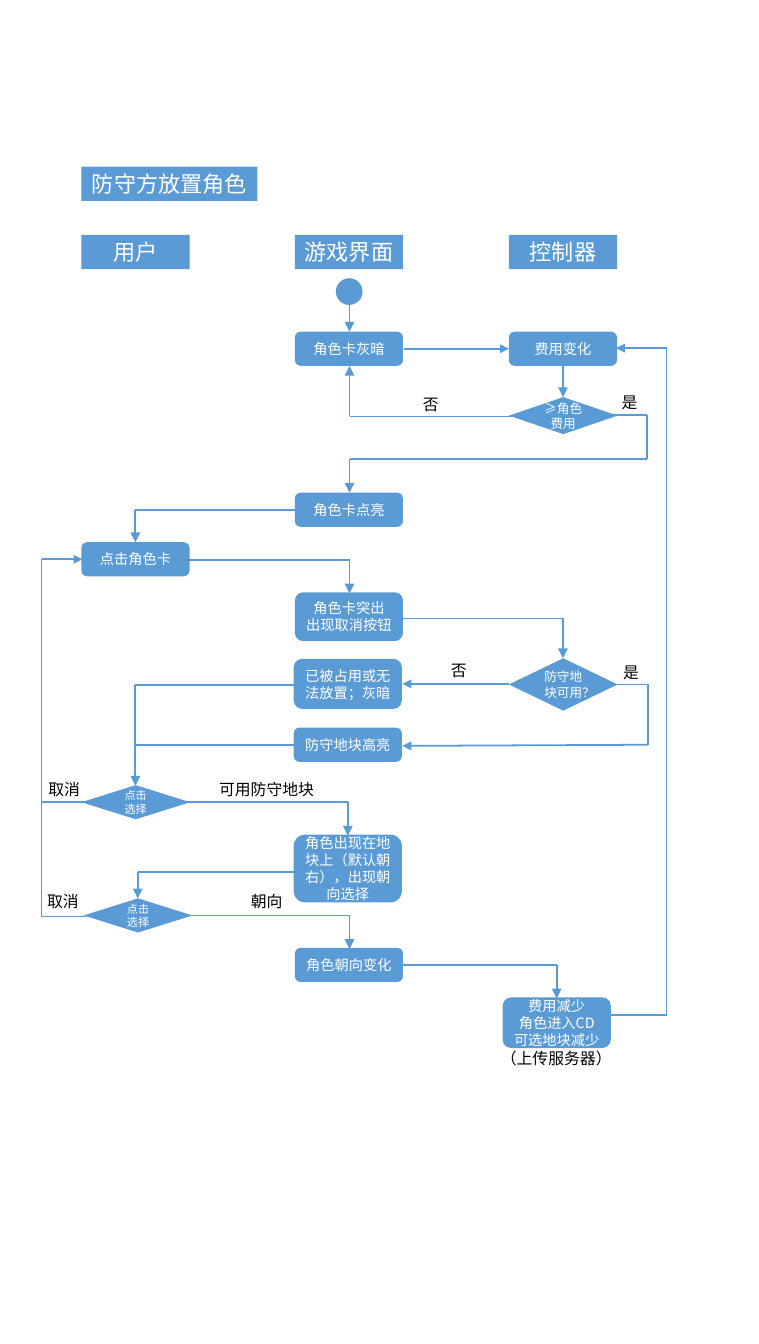
"""Build the swimlane flowchart for placing a character as the defender."""
import itertools

import pptx
import pptx.dml.color
import pptx.enum.shapes
import pptx.enum.text
import pptx.oxml
import pptx.oxml.ns
import pptx.util

Inches = pptx.util.Inches
Pt = pptx.util.Pt
SHAPE = pptx.enum.shapes.MSO_SHAPE
ALIGN = pptx.enum.text.PP_ALIGN
BLUE = pptx.dml.color.RGBColor(0x5B, 0x9B, 0xD5)
WHITE = pptx.dml.color.RGBColor(0xFF, 0xFF, 0xFF)
BLACK = pptx.dml.color.RGBColor(0x00, 0x00, 0x00)
FONT = "Noto Sans CJK SC"
DRAWING = pptx.oxml.ns.nsdecls("a")
USER, SCREEN, CONTROLLER = 1.43, 5.18, 8.94
SCREEN_LOWER = 5.16
WIDTH, HEIGHT = 1.9, 0.6


def write_text(shape, text, size, color, alignment):
    """Fill a shape with evenly formatted paragraphs."""
    shape.text_frame.text = text
    for paragraph in shape.text_frame.paragraphs:
        paragraph.alignment = alignment
        paragraph.font.size = Pt(size)
        paragraph.font.color.rgb = color
        paragraph.font.name = FONT
        east_asian = pptx.oxml.parse_xml(f'<a:ea {DRAWING} typeface="{FONT}"/>')
        paragraph.font._element.append(east_asian)


def add_node(preset, left, top, width, height, text="", size=18):
    """Add a blue shape with white centred text."""
    shape = slide.shapes.add_shape(
        preset, Inches(left), Inches(top), Inches(width), Inches(height))
    shape.shadow.inherit = False
    shape.fill.solid()
    shape.fill.fore_color.rgb = BLUE
    shape.line.fill.background()
    shape.text_frame.vertical_anchor = pptx.enum.text.MSO_ANCHOR.MIDDLE
    if text:
        write_text(shape, text, size, WHITE, ALIGN.CENTER)


presentation = pptx.Presentation()
presentation.slide_width = Inches(40 / 3)
presentation.slide_height = Inches(60 / 2.54)
slide = presentation.slides.add_slide(presentation.slide_layouts[5])

title = slide.shapes.title
title.left, title.top = Inches(USER), Inches(2.93)
title.width, title.height = Inches(3.09), Inches(HEIGHT)
title.fill.solid()
title.fill.fore_color.rgb = BLUE
title.text_frame.auto_size = pptx.enum.text.MSO_AUTO_SIZE.NONE
title.text_frame.vertical_anchor = pptx.enum.text.MSO_ANCHOR.MIDDLE
write_text(title, "防守方放置角色", 28, WHITE, ALIGN.CENTER)

lanes = [(USER, "用户"), (SCREEN, "游戏界面"), (CONTROLLER, "控制器")]
for left, text in lanes:
    add_node(SHAPE.RECTANGLE, left, 4.13, WIDTH, HEIGHT, text, 28)

add_node(SHAPE.OVAL, 5.9, 4.89, 0.47, 0.47)

steps = [
    (SCREEN, 5.83, HEIGHT, "角色卡灰暗"),
    (CONTROLLER, 5.83, HEIGHT, "费用变化"),
    (SCREEN, 8.66, HEIGHT, "角色卡点亮"),
    (USER, 9.53, HEIGHT, "点击角色卡"),
    (SCREEN, 10.41, 0.86, "角色卡突出\n出现取消按钮"),
    (SCREEN_LOWER, 11.58, 0.88, "已被占用或无法放置；灰暗"),
    (SCREEN_LOWER, 12.79, HEIGHT, "防守地块高亮"),
    (SCREEN_LOWER, 14.67, 1.19, "角色出现在地块上（默认朝右），出现朝向选择"),
    (SCREEN, 16.66, HEIGHT, "角色朝向变化"),
    (8.83, 17.53, 0.89, "费用减少\n角色进入CD\n可选地块减少"),
]
for left, top, height, text in steps:
    add_node(SHAPE.ROUNDED_RECTANGLE, left, top, WIDTH, height, text)

decisions = [
    (CONTROLLER, 6.98, 0.65, "≥角色费用", 16),
    (CONTROLLER, 11.57, 0.92, "防守地块可用？", 16),
    (USER, 13.8, HEIGHT, "点击\n选择", 14),
    (1.47, 15.79, HEIGHT, "点击\n选择", 14),
]
for left, top, height, text, size in decisions:
    add_node(SHAPE.FLOWCHART_DECISION, left, top, 1.91, height, text, size)

arrow_routes = [
    [(6.14, 5.36), (6.14, 5.83)],
    [(7.09, 6.13), (8.94, 6.13)],
    [(9.89, 6.43), (9.89, 6.98)],
    [(9, 7.32), (6.14, 7.32), (6.14, 6.43)],
    [(10.77, 7.3), (11.36, 7.3), (11.36, 8.07), (6.14, 8.07), (6.14, 8.66)],
    [(5.21, 8.96), (2.38, 8.96), (2.38, 9.53)],
    [(3.31, 9.84), (6.14, 9.84), (6.14, 10.43)],
    [(7.07, 10.87), (9.89, 10.87), (9.89, 11.57)],
    [(8.94, 12.02), (7.07, 12.02)],
    [(10.79, 12.03), (11.38, 12.03), (11.38, 13.09), (7.07, 13.11)],
    [(5.17, 12.04), (2.38, 12.04), (2.38, 13.81)],
    [(3.29, 14.1), (6.11, 14.1), (6.11, 14.69)],
    [(5.21, 15.32), (2.42, 15.32), (2.42, 15.79)],
    [(3.31, 16.09), (6.14, 16.09), (6.14, 16.68)],
    [(1.51, 16.11), (0.73, 16.11), (0.73, 9.83), (1.45, 9.83)],
    [(6.95, 16.96), (9.78, 16.96), (9.78, 17.55)],
    [(10.73, 17.84), (11.71, 17.84), (11.71, 6.12), (10.82, 6.12)],
]
joining_routes = [
    [(5.16, 13.09), (2.38, 13.09)],
    [(1.49, 14.1), (0.73, 14.1)],
]
for route in arrow_routes + joining_routes:
    for start, end in itertools.pairwise(route):
        connector = slide.shapes.add_connector(
            pptx.enum.shapes.MSO_CONNECTOR.STRAIGHT,
            *(Inches(value) for value in start + end))
        has_arrow = route in arrow_routes and end == route[-1]
        is_vertical = start[0] == end[0]
        connector.line.color.rgb = BLUE
        connector.line.width = Pt(2.5 if has_arrow and is_vertical else 2.25)
        if has_arrow:
            arrowhead = pptx.oxml.parse_xml(
                f'<a:tailEnd {DRAWING} type="triangle" w="lg" len="lg"/>')
            connector.line._get_or_add_ln().append(arrowhead)
        no_effects = pptx.oxml.parse_xml(f"<a:effectLst {DRAWING}/>")
        connector._element.spPr.append(no_effects)

labels = [
    (7.33, 6.88, 0.48, "否"),
    (10.82, 6.86, 0.48, "是"),
    (7.82, 11.57, 0.48, "否"),
    (10.85, 11.59, 0.48, "是"),
    (3.75, 13.66, 1.88, "可用防守地块"),
    (0.75, 13.66, 0.76, "取消"),
    (0.73, 15.63, 0.76, "取消"),
    (4.31, 15.63, 0.76, "朝向"),
    (8.7, 18.39, 2.17, "（上传服务器）"),
]
for left, top, width, text in labels:
    label = slide.shapes.add_textbox(
        Inches(left), Inches(top), Inches(width), Inches(0.44))
    label.text_frame.word_wrap = False
    label.text_frame.auto_size = pptx.enum.text.MSO_AUTO_SIZE.SHAPE_TO_FIT_TEXT
    write_text(label, text, 20, BLACK, ALIGN.LEFT)

presentation.save("out.pptx")
